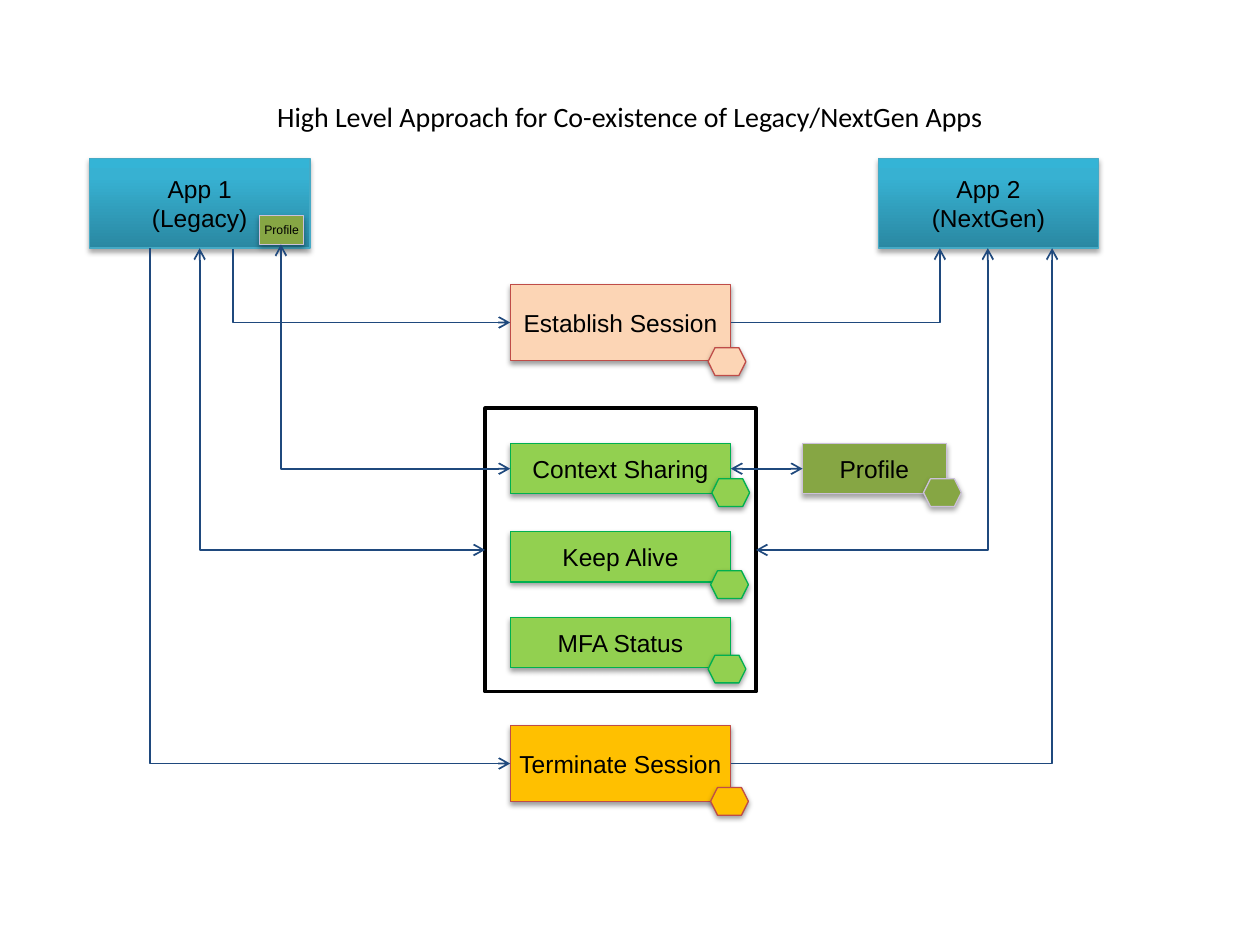
import copy

import lxml.etree
import pptx
import pptx.dml.color
import pptx.enum.shapes
import pptx.enum.text
import pptx.oxml
import pptx.oxml.ns
import pptx.util

SHAPES = pptx.enum.shapes.MSO_SHAPE
CONNECTORS = pptx.enum.shapes.MSO_CONNECTOR
qn = pptx.oxml.ns.qn

COLORS = {
    "black": "000000", "arrow": "1F497D",
    "peach": "FCD5B5", "amber": "FFC000", "red": "BF4C48",
    "lime": "92D050", "green": "00B050",
    "olive": "86A644", "lilac": "CCC1DA",
    "teal": "2A88A2", "cyan": "37B1D2", "sky": "34B4D6", "teal line": "46AAC5",
}
APP_GRADIENT = [(0, "teal"), (0.8, "cyan"), (1, "sky")]
SOFT_SHADOW = (38, 1.6)
DEEP_SHADOW = (35, 1.8)

# The slide is a grid of 100 columns by 75 rows.
CELL = pptx.util.Inches(0.1)
MIDDLE_LEFT, BOX_WIDTH = 40.5, 17.5
LEFT_SITE, BOTTOM_SITE, RIGHT_SITE = 1, 2, 3


def cells(*counts):
    """Turn grid counts into lengths."""
    return [round(count * CELL) for count in counts]


def rgb(name):
    """Look up a colour of the palette."""
    return pptx.dml.color.RGBColor.from_string(COLORS[name])


def write_text(shape, lines, size, font="Arial", wrap=False):
    """Write centred lines, one paragraph each, in the middle of a shape."""
    frame = shape.text_frame
    frame.word_wrap = wrap
    frame.vertical_anchor = pptx.enum.text.MSO_ANCHOR.MIDDLE
    for index, line in enumerate(lines):
        paragraph = frame.paragraphs[0] if index == 0 else frame.add_paragraph()
        paragraph.alignment = pptx.enum.text.PP_ALIGN.CENTER
        run = paragraph.add_run()
        run.text = line
        run.font.size = pptx.util.Pt(size)
        run.font.name = font
        run.font.color.rgb = rgb("black")


def add_shadow(shape, opacity, distance):
    """Give a shape a soft shadow that falls straight down."""
    shape.shadow.inherit = False
    effects = shape._element.spPr.find(qn("a:effectLst"))
    shadow = lxml.etree.SubElement(
        effects, qn("a:outerShdw"), blurRad=str(pptx.util.Pt(3.1)),
        dist=str(pptx.util.Pt(distance)), dir="5400000", rotWithShape="0")
    color = lxml.etree.SubElement(shadow, qn("a:srgbClr"), val=COLORS["black"])
    lxml.etree.SubElement(color, qn("a:alpha"), val=str(opacity * 1000))


def fill_gradient(shape, stops):
    """Fill a shape with a gradient that runs upwards."""
    shape.fill.gradient()
    shape.fill.gradient_angle = 90
    stop_list = shape.fill._fill._gradFill.find(qn("a:gsLst"))
    stop_list.append(copy.deepcopy(stop_list[0]))
    for stop, (position, name) in zip(shape.fill.gradient_stops, stops):
        stop.position = position
        stop.color.rgb = rgb(name)


def add_block(slide, box, fill, line, shadow, lines=(), size=14,
              kind=SHAPES.RECTANGLE):
    """Draw one filled, shadowed shape in its box."""
    shape = slide.shapes.add_shape(kind, *cells(*box))
    if isinstance(fill, list):
        fill_gradient(shape, fill)
    else:
        shape.fill.solid()
        shape.fill.fore_color.rgb = rgb(fill)
    shape.line.color.rgb = rgb(line)
    shape.line.width = pptx.util.Pt(0.75)
    add_shadow(shape, *shadow)
    write_text(shape, lines, size)
    return shape


def add_badge(slide, left, top, fill, line, shadow):
    """Draw the hexagon at the corner of a service."""
    badge = add_block(slide, (left, top, 3, 2.2), fill, line, shadow,
                      kind=SHAPES.HEXAGON)
    badge.adjustments[0] = 0.25


def add_app(slide, left, lines):
    """Draw an application box in the top row."""
    return add_block(slide, (left, 12.6, BOX_WIDTH, 7.1), APP_GRADIENT,
                     "teal line", DEEP_SHADOW, lines)


def add_frame(slide, box):
    """Draw the open frame around the shared services."""
    frame = slide.shapes.add_shape(SHAPES.RECTANGLE, *cells(*box))
    frame.fill.background()
    frame.line.color.rgb = rgb("black")
    frame.line.width = pptx.util.Pt(2)
    frame.shadow.inherit = False
    return frame


def style_arrow(connector, ends):
    """Colour a connector and put open arrowheads on the named ends."""
    connector.line.color.rgb = rgb("arrow")
    connector.line.width = pptx.util.Pt(1)
    line = connector.line._get_or_add_ln()
    for end in ends:
        lxml.etree.SubElement(line, qn("a:" + end), type="arrow")
    lxml.etree.SubElement(connector._element.spPr, qn("a:effectLst"))


def add_elbow(slide, service, site, target, ends):
    """Run sideways from a service, then up to the target point."""
    side = service.left if site == LEFT_SITE else service.left + service.width
    connector = slide.shapes.add_connector(
        CONNECTORS.ELBOW, side, service.top + service.height // 2, *cells(*target))
    connector._element.spPr.find(qn("a:prstGeom")).set("prst", "bentConnector2")
    connector.begin_connect(service, site)
    style_arrow(connector, ends)
    return connector


def add_title(slide, box, text):
    """Write the heading across the slide."""
    title = slide.shapes.add_textbox(*cells(*box))
    write_text(title, [text], 16, "Calibri", wrap=True)


def build_slide(slide):
    """Lay out apps, services, arrows and badges."""
    add_title(slide, (5, 3, 90, 12.5),
              "High Level Approach for Co-existence of Legacy/NextGen Apps")
    legacy = add_app(slide, 7.1, ["App 1", "(Legacy)"])
    nextgen_left = 69.7
    add_app(slide, nextgen_left, ["App 2", "(NextGen)"])

    services = {}
    badges = []
    for name, top, height, fill, line, badge_left, badge_top in [
            ("Establish Session", 22.6, 6, "peach", "red", 56.2, 27.6),
            ("Context Sharing", 35.2, 4, "lime", "green", 56.5, 38),
            ("Keep Alive", 42.2, 4, "lime", "green", 56.4, 45.3),
            ("MFA Status", 49, 4, "lime", "green", 56.2, 52),
            ("Terminate Session", 57.6, 6, "amber", "red", 56.4, 62.5)]:
        services[name] = add_block(
            slide, (MIDDLE_LEFT, top, BOX_WIDTH, height), fill, line,
            SOFT_SHADOW, [name])
        badges.append((badge_left, badge_top, fill, line, SOFT_SHADOW))
    services["Frame"] = add_frame(slide, (38.5, 32.4, 21.5, 22.5))

    olive_style = ("olive", "lilac", DEEP_SHADOW)
    profile = add_block(slide, (63.7, 35.2, 11.4, 4), *olive_style, ["Profile"])
    badges.append((73.3, 38, *olive_style))
    add_block(slide, (20.6, 17.1, 3.5, 2.3), *olive_style, ["Profile"], size=7)

    both, at_service, at_app = ("headEnd", "tailEnd"), ("headEnd",), ("tailEnd",)
    for name, site, target, ends in [
            ("Establish Session", LEFT_SITE, (18.5, 19.8), at_service),
            ("Establish Session", RIGHT_SITE, (74.6, 19.7), at_app),
            ("Frame", LEFT_SITE, (15.8, 19.7), both),
            ("Frame", RIGHT_SITE, (78.4, 19.7), both),
            ("Terminate Session", LEFT_SITE, (11.9, 19.7), at_service),
            ("Terminate Session", RIGHT_SITE, (83.5, 19.7), at_app),
            ("Context Sharing", LEFT_SITE, (22.3, 19.4), both)]:
        elbow = add_elbow(slide, services[name], site, target, ends)
        if (name, site) == ("Frame", LEFT_SITE):
            elbow.end_connect(legacy, BOTTOM_SITE)

    link = slide.shapes.add_connector(CONNECTORS.STRAIGHT, 0, 0, 0, 0)
    link.begin_connect(services["Context Sharing"], RIGHT_SITE)
    link.end_connect(profile, LEFT_SITE)
    style_arrow(link, both)

    for badge in badges:
        add_badge(slide, *badge)


presentation = pptx.Presentation()
presentation.slide_width, presentation.slide_height = cells(100, 75)
build_slide(presentation.slides.add_slide(presentation.slide_layouts[6]))
presentation.save("out.pptx")
